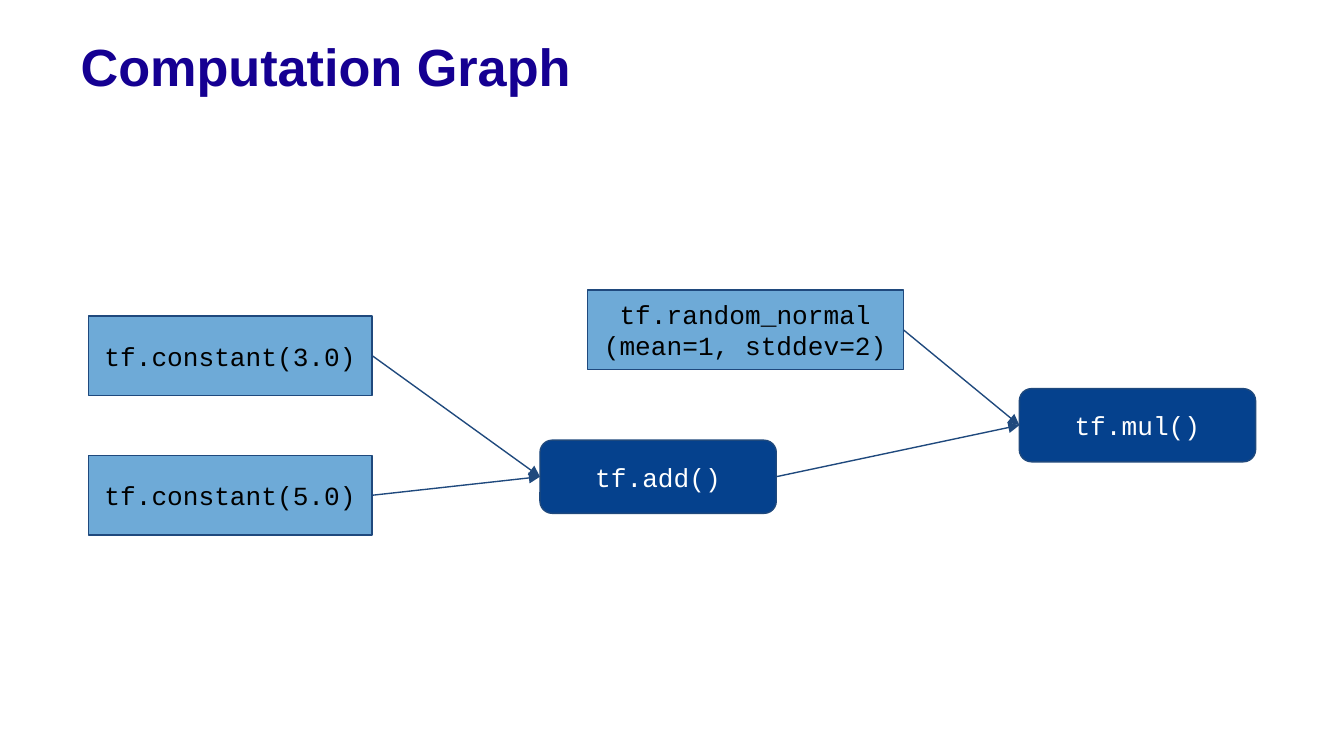
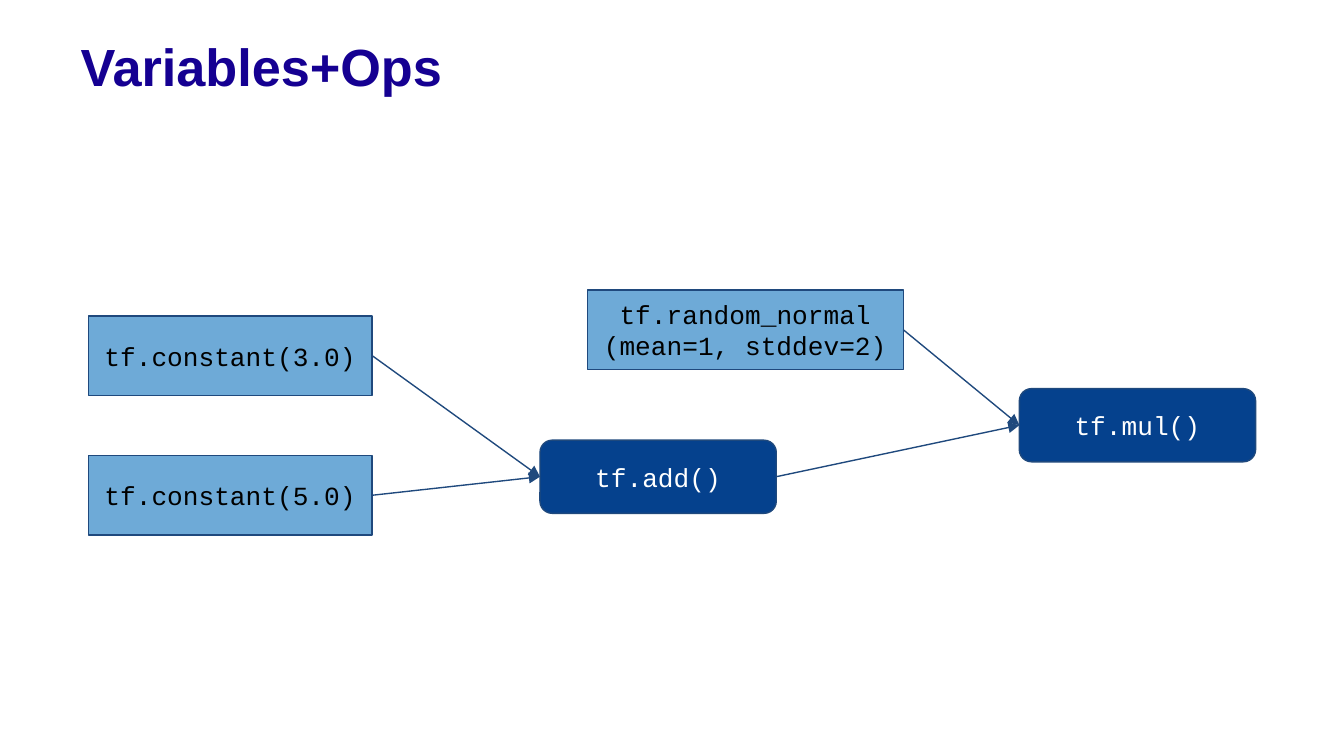
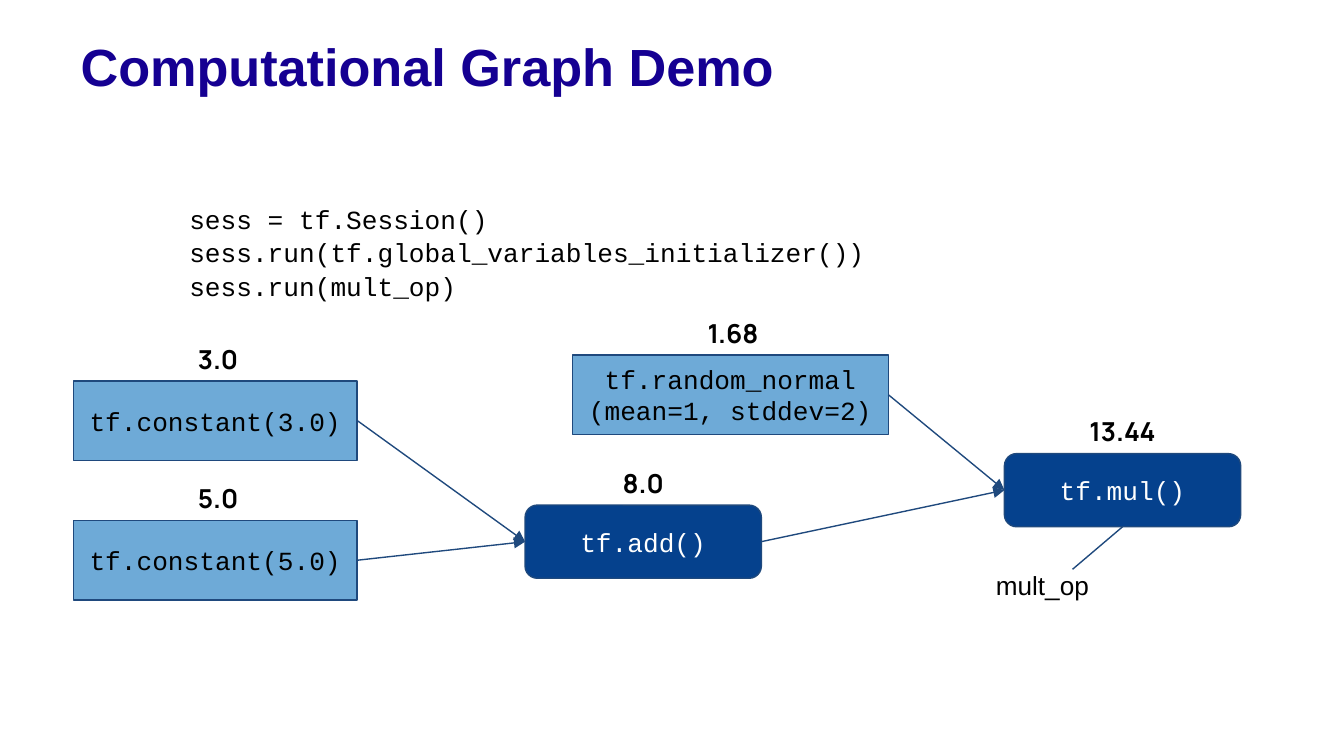
from pptx import Presentation
from pptx.dml.color import RGBColor
from pptx.enum.shapes import MSO_CONNECTOR as Connector, MSO_SHAPE as Shape
from pptx.enum.text import MSO_ANCHOR as Anchor, MSO_AUTO_SIZE as AutoSize, PP_ALIGN as Align
from pptx.oxml.ns import qn
from pptx.util import Pt
from lxml.etree import SubElement

COLORS = {
    "title": "150092",
    "source": "1677C0",
    "operation": "05418D",
    "line": "1F497D",
    "dark": "000000",
    "light": "FFFFFF",
}
CODE_FONT, LABEL_FONT, VALUE_FONT = "Courier New", "Arial", "Manrope"
TOP, BOTTOM, LEFT, RIGHT = 0, 2, 1, 3
TITLE_BOX = (36, 10.8, 648, 48.2)
NODES = {
    "five": ("source", (0, 88.7, 152, 42.5), ["tf.constant(5.0)"]),
    "three": ("source", (0, 13.9, 152, 42.5), ["tf.constant(3.0)"]),
    "random": ("source", (267.3, 0, 169.2, 42.5), ["tf.random_normal", "(mean=1, stddev=2)"]),
    "add": ("operation", (241.9, 80.4, 126.6, 39.2), ["tf.add()"]),
    "mul": ("operation", (498.7, 52.8, 126.6, 39.2), ["tf.mul()"]),
}
EDGES = [("five", "add"), ("three", "add"), ("add", "mul"), ("random", "mul")]
VALUES = {"three": "3.0", "five": "5.0", "random": "1.68", "add": "8.0", "mul": "13.44"}
CODE_LINES = [
    ("sess = tf.Session()", 224.6),
    ("sess.run(tf.global_variables_initializer())", 416.9),
    ("sess.run(mult_op)", 308.2),
]


def rgb(name):
    """Return the named colour."""
    return RGBColor.from_string(COLORS[name])


def write(shape, lines, font, size, color, align=Align.LEFT, anchor=Anchor.TOP, bold=False):
    """Fill a shape with one paragraph per line of text."""
    frame = shape.text_frame
    frame.word_wrap = True
    frame.auto_size = AutoSize.NONE
    frame.vertical_anchor = anchor
    frame.margin_left = frame.margin_right = frame.margin_top = frame.margin_bottom = Pt(7.2)
    for index, line in enumerate(lines):
        paragraph = frame.add_paragraph() if index else frame.paragraphs[0]
        paragraph.alignment = align
        run = paragraph.add_run()
        run.text = line
        run.font.name, run.font.size, run.font.bold = font, Pt(size), bold
        run.font.color.rgb = rgb(color)


def add_text(slide, box, text, font, **style):
    """Add a one-line text box."""
    textbox = slide.shapes.add_textbox(*map(Pt, box))
    write(textbox, [text], font, 14, "dark", **style)


def add_titled_slide(presentation, title):
    """Add a slide with the shared title style."""
    slide = presentation.slides.add_slide(presentation.slide_layouts[5])
    shape = slide.shapes.title
    shape.left, shape.top, shape.width, shape.height = map(Pt, TITLE_BOX)
    write(shape, [title], LABEL_FONT, 28, "title", anchor=Anchor.MIDDLE, bold=True)
    return slide


def add_node(slide, kind, box, lines):
    """Add a source box or a rounded operation box."""
    is_source = kind == "source"
    outline = Shape.RECTANGLE if is_source else Shape.ROUNDED_RECTANGLE
    shape = slide.shapes.add_shape(outline, *map(Pt, box))
    shape.shadow.inherit = False
    shape.fill.solid()
    shape.fill.fore_color.rgb = rgb(kind)
    if is_source:
        color = shape.fill._xPr.find(".//" + qn("a:srgbClr"))
        SubElement(color, qn("a:alpha"), val="62000")
    shape.line.color.rgb = rgb("line")
    shape.line.width = Pt(0.75)
    write(shape, lines, CODE_FONT, 14, "dark" if is_source else "light",
          Align.CENTER, Anchor.MIDDLE)
    return shape


def add_line(slide, start=(0, 0), arrow=False):
    """Add a thin connector whose ends can be attached afterwards."""
    x, y = map(Pt, start)
    connector = slide.shapes.add_connector(Connector.STRAIGHT, x, y, x, y)
    connector.line.color.rgb = rgb("line")
    connector.line.width = Pt(0.75)
    if arrow:
        SubElement(connector.line._get_or_add_ln(), qn("a:tailEnd"), type="triangle")
    SubElement(connector._element.spPr, qn("a:effectLst"))
    return connector


def add_graph(slide, left, top, values=None):
    """Draw the graph from its top-left corner, with optional values above the nodes."""
    boxes = {name: (left + x, top + y, width, height)
             for name, (_, (x, y, width, height), _) in NODES.items()}
    for name, value in (values or {}).items():
        x, y, width, _ = boxes[name]
        label_width = 53.3 if len(value) > 4 else 42.5
        nudge = 1.4 if NODES[name][0] == "source" else 0
        label_box = (x + (width - label_width) / 2 + nudge, y - 27.4, label_width, 31)
        add_text(slide, label_box, value, VALUE_FONT, align=Align.CENTER, bold=True)
    shapes = {name: add_node(slide, kind, boxes[name], lines)
              for name, (kind, _, lines) in NODES.items()}
    for start, end in EDGES:
        connector = add_line(slide, arrow=True)
        connector.begin_connect(shapes[start], RIGHT)
        connector.end_connect(shapes[end], LEFT)
    return shapes


def add_code(slide, left, top):
    """Stack the session code lines at an even pitch."""
    for index, (line, width) in enumerate(CODE_LINES):
        add_text(slide, (left, top + 18 * index, width, 27.4), line, CODE_FONT)


def add_callout(slide, node, text):
    """Name a node below its lower edge."""
    left, top = node.left.pt, node.top.pt
    add_text(slide, (left - 11.7, top + 54.7, 64.8, 27.4), text, LABEL_FONT)
    connector = add_line(slide, (left + 36.5, top + 62))
    connector.end_connect(node, BOTTOM)


def main():
    """Build and save the presentation."""
    presentation = Presentation()
    presentation.slide_width, presentation.slide_height = Pt(720), Pt(405)
    for title in ("Computation Graph", "Variables+Ops"):
        add_graph(add_titled_slide(presentation, title), 47.4, 155.4)
    demo = add_titled_slide(presentation, "Computational Graph Demo")
    nodes = add_graph(demo, 39.4, 190.2, VALUES)
    add_code(demo, 94.3, 101.5)
    add_callout(demo, nodes["mul"], "mult_op")
    presentation.save("out.pptx")


if __name__ == "__main__":
    main()
